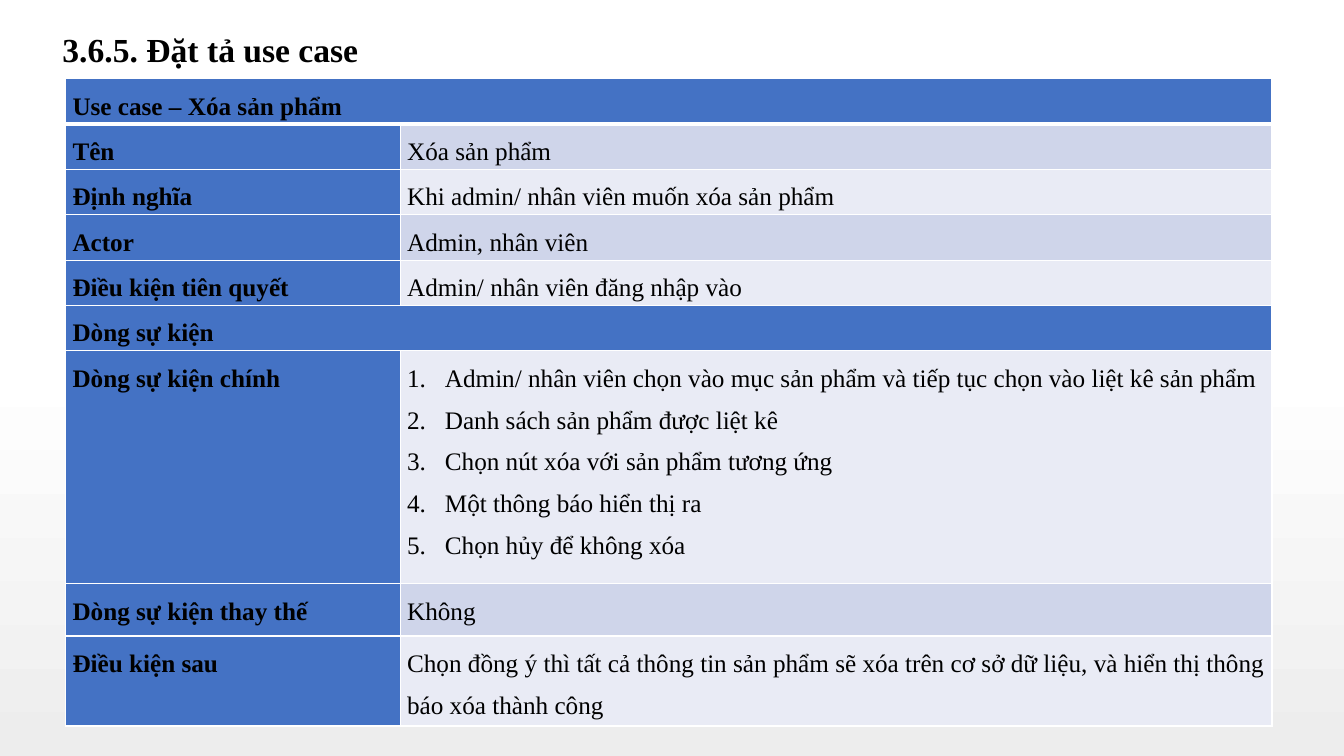
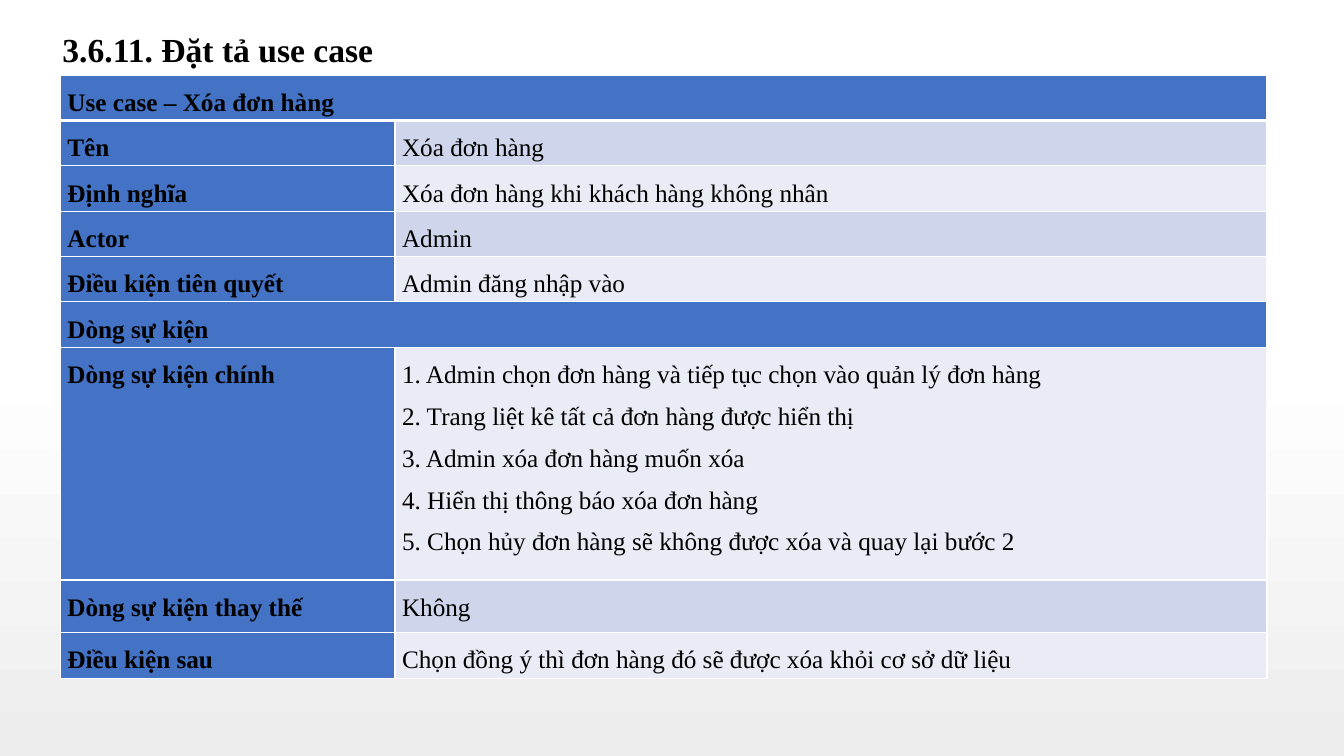
from lxml import etree
from pptx import Presentation
from pptx.dml.color import RGBColor
from pptx.enum.text import MSO_ANCHOR, MSO_AUTO_SIZE, PP_ALIGN
from pptx.oxml.ns import qn
from pptx.util import Pt

LEFT, JUSTIFY = PP_ALIGN.LEFT, PP_ALIGN.JUSTIFY
TOP = MSO_ANCHOR.TOP
NO_AUTOFIT = MSO_AUTO_SIZE.NONE

FONT = "Times New Roman"
BLACK, WHITE, GREY = "000000", "FFFFFF", "EDEDED"
BLUE, DARK_BAND, LIGHT_BAND = "4472C4", "CFD5EA", "E9EBF5"
COLUMN_WIDTHS = [239, 622.8]
ROW_HEIGHTS = [32.4] * 6 + [166.3, 37.4]
LABELS = [
    "Tên",
    "Định nghĩa",
    "Actor",
    "Điều kiện tiên quyết",
    "Dòng sự kiện",
    "Dòng sự kiện chính",
    "Dòng sự kiện thay thế",
    "Điều kiện sau",
]

USE_CASES = [
    {
        "title": "3.6.5. Đặt tả use case",
        "heading": "Use case – Xóa sản phẩm",
        "position": (46.8, 56.2),
        "last_height": 64.3,
        "auto_number": True,
        "values": [
            "Xóa sản phẩm",
            "Khi admin/ nhân viên muốn xóa sản phẩm",
            "Admin, nhân viên",
            "Admin/ nhân viên đăng nhập vào",
            None,
            "Admin/ nhân viên chọn vào mục sản phẩm và tiếp tục chọn vào liệt kê sản phẩm\n"
            "Danh sách sản phẩm được liệt kê\n"
            "Chọn nút xóa với sản phẩm tương ứng\n"
            "Một thông báo hiển thị ra\n"
            "Chọn hủy để không xóa",
            "Không",
            "Chọn đồng ý thì tất cả thông tin sản phẩm sẽ xóa trên cơ sở dữ liệu, "
            "và hiển thị thông báo xóa thành công",
        ],
    },
    {
        "title": "3.6.11. Đặt tả use case",
        "heading": "Use case – Xóa đơn hàng",
        "position": (43.2, 53.6),
        "last_height": 33.1,
        "auto_number": False,
        "values": [
            "Xóa đơn hàng",
            "Xóa đơn hàng khi khách hàng không nhân",
            "Admin",
            "Admin đăng nhập vào",
            None,
            "1. Admin chọn đơn hàng và tiếp tục chọn vào quản lý đơn hàng\n"
            "2. Trang liệt kê tất cả đơn hàng được hiển thị\n"
            "3. Admin xóa đơn hàng muốn xóa\n"
            "4. Hiển thị thông báo xóa đơn hàng\n"
            "5. Chọn hủy đơn hàng sẽ không được xóa và quay lại bước 2",
            "Không",
            "Chọn đồng ý thì đơn hàng đó sẽ được xóa khỏi cơ sở dữ liệu",
        ],
    },
]


def format_paragraph(paragraph, size, bold, alignment):
    paragraph.alignment = alignment
    for run in paragraph.runs:
        run.font.name = FONT
        run.font.size = Pt(size)
        run.font.bold = bold
        run.font.color.rgb = RGBColor.from_string(BLACK)


def fill_cell(cell, text, color, is_label, border_widths, numbered=False):
    properties = cell._tc.get_or_add_tcPr()
    for side, width in zip("LRTB", border_widths):
        line = etree.SubElement(properties, qn(f"a:ln{side}"), w=str(Pt(width)))
        solid = etree.SubElement(line, qn("a:solidFill"))
        etree.SubElement(solid, qn("a:srgbClr"), val=WHITE)
    cell.fill.solid()
    cell.fill.fore_color.rgb = RGBColor.from_string(color)
    cell.margin_left = cell.margin_right = Pt(5)
    cell.margin_top = cell.margin_bottom = Pt(0)
    cell.vertical_anchor = TOP
    cell.text_frame.text = text
    for paragraph in cell.text_frame.paragraphs:
        format_paragraph(paragraph, 18, is_label, LEFT if is_label else JUSTIFY)
        paragraph.line_spacing = 1.5
        if numbered:
            paragraph_properties = paragraph._p.get_or_add_pPr()
            paragraph_properties.set("marL", str(Pt(27)))
            paragraph_properties.set("indent", str(Pt(-27)))
            etree.SubElement(paragraph_properties, qn("a:buAutoNum"), type="arabicPeriod")


presentation = Presentation()
presentation.slide_width = Pt(960)
presentation.slide_height = Pt(540)

background = presentation.slide_master.background.fill
background.gradient()
background.gradient_angle = 270
for stop, position, color in zip(background.gradient_stops, (0.48, 1), (WHITE, GREY)):
    stop.position = position
    stop.color.rgb = RGBColor.from_string(color)

title_layout = presentation.slide_layouts[5]

for use_case in USE_CASES:
    slide = presentation.slides.add_slide(title_layout)
    title = slide.shapes.title
    title.left, title.top, title.width, title.height = Pt(37.4), Pt(17.3), Pt(701), Pt(36)
    title.text_frame.text = use_case["title"]
    title.text_frame.auto_size = NO_AUTOFIT
    title.text_frame.vertical_anchor = TOP
    format_paragraph(title.text_frame.paragraphs[0], 24, True, LEFT)

    heights = ROW_HEIGHTS + [use_case["last_height"]]
    left, top = use_case["position"]
    table = slide.shapes.add_table(
        len(heights), len(COLUMN_WIDTHS), Pt(left), Pt(top), Pt(sum(COLUMN_WIDTHS)), Pt(sum(heights))
    ).table
    for column, width in zip(table.columns, COLUMN_WIDTHS):
        column.width = Pt(width)

    labels = [use_case["heading"]] + LABELS
    values = [None] + use_case["values"]
    for index, (label, value, height) in enumerate(zip(labels, values, heights)):
        table.rows[index].height = Pt(height)
        label_cell, value_cell = table.cell(index, 0), table.cell(index, 1)
        borders = (1, 1, 3 if index == 1 else 1, 3 if index == 0 else 1)
        fill_cell(label_cell, label, BLUE, True, borders)
        if value is None:
            fill_cell(value_cell, "", BLUE, True, borders)
            label_cell.merge(value_cell)
        else:
            band = DARK_BAND if index % 2 else LIGHT_BAND
            numbered = use_case["auto_number"] and "\n" in value
            fill_cell(value_cell, value, band, False, borders, numbered)

presentation.save("out.pptx")
